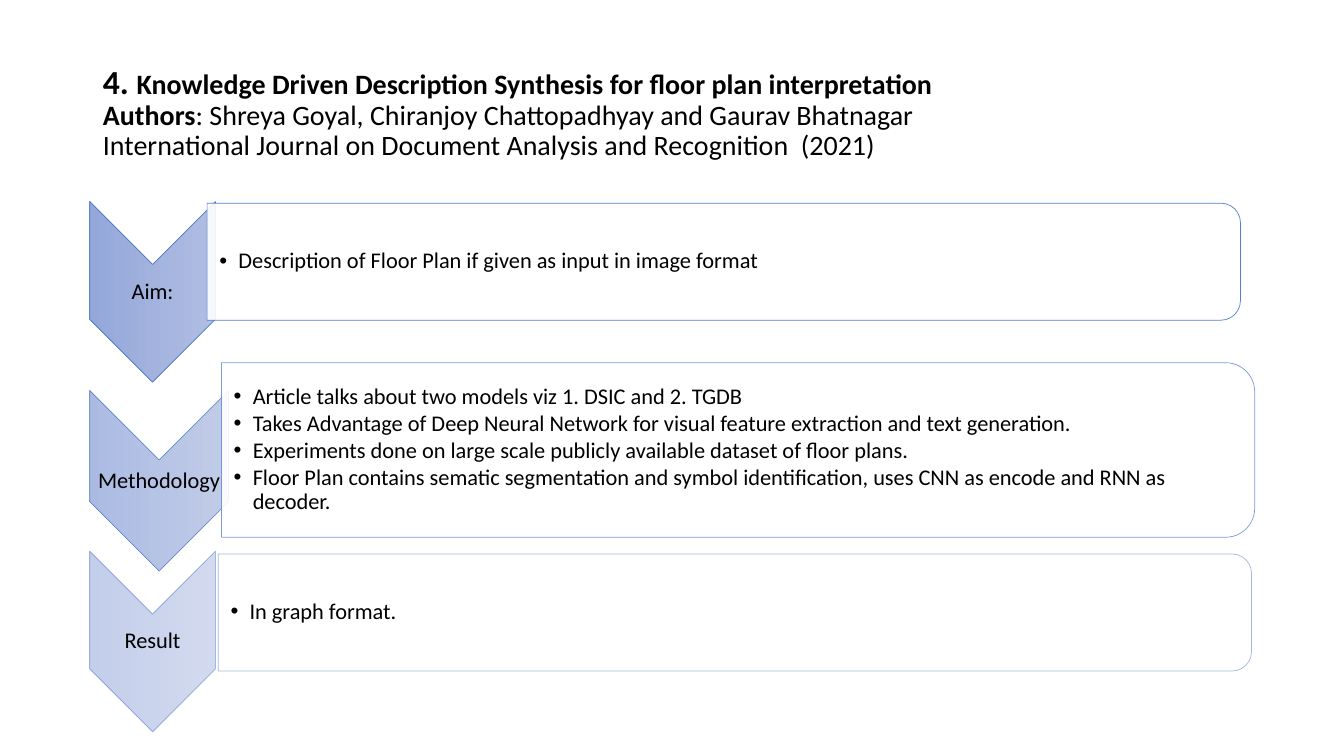
from lxml import etree
from pptx import Presentation
from pptx import util as u
from pptx.dml.color import RGBColor
from pptx.enum import shapes, text
from pptx.oxml import ns

BLACK = RGBColor(0x00, 0x00, 0x00)
WHITE = RGBColor(0xFF, 0xFF, 0xFF)
BLUE = RGBColor(0x44, 0x72, 0xC4)
GRADIENT = (RGBColor(0xA8, 0xB7, 0xDF), RGBColor(0x88, 0x9E, 0xD7))

CHEVRON_LEFT, CHEVRON_H, BOX_W = 2.26, 4.55, 26.04

TITLE = [
    ("4. ", 24, True),
    ("Knowledge Driven Description Synthesis for floor plan interpretation\vAuthors", 20, True),
    (": Shreya Goyal, Chiranjoy Chattopadhyay and Gaurav Bhatnagar\v"
     "International Journal on Document Analysis and Recognition  (2021)", 20, False),
]

ROWS = [
    dict(label="Aim:", alpha=90, chevron=(5.08, 3.17), box=(5.22, 5.12, 2.95), items=[
        "Description of Floor Plan if given as input in image format"]),
    dict(label="Methodology", alpha=70, chevron=(9.84, 3.5), box=(5.58, 9.14, 4.4), items=[
        "Article talks about two models viz 1. DSIC and 2. TGDB",
        "Takes Advantage of Deep Neural Network for visual feature extraction and text generation.",
        "Experiments done on large scale publicly available dataset of floor plans.",
        "Floor Plan contains sematic segmentation and symbol identification, "
        "uses CNN as encode and RNN as decoder."]),
    dict(label="Result", alpha=50, chevron=(13.89, 3.17), box=(5.5, 13.96, 2.95), items=[
        "In graph format."]),
]


def apply(obj, fmt):
    for name, value in fmt.items():
        setattr(obj, name, value)


def set_alpha(parent, percent):
    for clr in parent.iter(ns.qn("a:srgbClr")):
        etree.SubElement(clr, ns.qn("a:alpha"), val=str(percent * 1000))


class Deck:
    font = dict(name="Calibri", size=u.Pt(16), bold=False)
    para = dict(line_spacing=0.9, space_before=u.Pt(0), space_after=u.Pt(0))
    frame = dict(word_wrap=True, auto_size=text.MSO_AUTO_SIZE.NONE,
                 vertical_anchor=text.MSO_ANCHOR.MIDDLE)
    tight = dict.fromkeys(
        ("margin_left", "margin_right", "margin_top", "margin_bottom"), u.Cm(0.03))

    def __init__(self):
        self.prs = Presentation()
        apply(self.prs, dict(slide_width=u.Cm(33.87), slide_height=u.Cm(19.05)))
        self.s = self.prs.slides.add_slide(self.prs.slide_layouts[4])

    def place(self, sp, x, y, w, h):
        apply(sp, dict(left=u.Cm(x), top=u.Cm(y), width=u.Cm(w), height=u.Cm(h)))

    def fill_paragraph(self, p, runs, align, **para):
        apply(p, {**self.para, "alignment": align, **para})
        for words, size, bold in runs:
            for i, line in enumerate(words.split("\v")):
                if i:
                    p.add_line_break()
                r = p.add_run()
                r.text = line
                apply(r.font, {**self.font, "size": u.Pt(size), "bold": bold})
                r.font.color.rgb = BLACK

    def title(self, runs, *area):
        sp = self.s.shapes.title
        self.place(sp, *area)
        apply(sp.text_frame, self.frame)
        self.fill_paragraph(sp.text_frame.paragraphs[0], runs, text.PP_ALIGN.LEFT)

    def turned(self, kind, x, y, w, h, alpha):
        sp = self.s.shapes.add_shape(
            kind, u.Cm(x + (w - h) / 2), u.Cm(y + (h - w) / 2), u.Cm(h), u.Cm(w))
        sp.rotation = 90
        sp.shadow.inherit = False
        sp.line.width = u.Pt(0.5)
        sp.line.color.rgb = BLUE
        set_alpha(sp.line._ln, alpha)
        return sp

    def chevron(self, label, x, y, w, h, alpha):
        sp = self.turned(shapes.MSO_SHAPE.CHEVRON, x, y, w, h, alpha)
        sp.fill.gradient()
        sp.fill.gradient_angle = 270
        for stop, color in zip(sp.fill.gradient_stops, GRADIENT):
            stop.color.rgb = color
        set_alpha(sp._element.spPr.find(ns.qn("a:gradFill")), alpha)
        tb = self.s.shapes.add_textbox(u.Cm(x), u.Cm(y + w / 2), u.Cm(w), u.Cm(h - w))
        apply(tb.text_frame, {**self.frame, **self.tight})
        self.fill_paragraph(
            tb.text_frame.paragraphs[0], [(label, 16, False)], text.PP_ALIGN.CENTER)

    def box(self, x, y, w, h, alpha):
        sp = self.turned(shapes.MSO_SHAPE.ROUND_2_SAME_RECTANGLE, x, y, w, h, alpha)
        sp.fill.solid()
        sp.fill.fore_color.rgb = WHITE
        set_alpha(sp._element.spPr.find(ns.qn("a:solidFill")), 90)

    def bullets(self, idx, items, x, y, w, h):
        sp = self.s.placeholders[idx]
        self.s.shapes._spTree.append(sp._element)
        inset = 0.05 * h
        self.place(sp, x, y + inset, w - inset, h - 2 * inset)
        tf = sp.text_frame
        apply(tf, {**self.frame, **self.tight, "margin_left": u.Cm(0.31)})
        for i, item in enumerate(items):
            p = tf.add_paragraph() if i else tf.paragraphs[0]
            self.fill_paragraph(
                p, [(item, 16, False)], text.PP_ALIGN.LEFT, space_after=u.Pt(2))
            pPr = p._p.get_or_add_pPr()
            pPr.set("marL", str(u.Cm(0.48)))
            pPr.set("indent", str(-u.Cm(0.48)))
            etree.SubElement(pPr, ns.qn("a:buFont"), typeface="Arial")
            etree.SubElement(pPr, ns.qn("a:buChar"), char="\u2022")

    def finish(self):
        for sp in list(self.s.placeholders):
            if not sp.text_frame.text:
                sp._element.getparent().remove(sp._element)


deck = Deck()
deck.title(TITLE, 2.34, 1.02, 29.21, 3.68)
for idx, row in enumerate(ROWS, 1):
    top, width = row["chevron"]
    x, y, h = row["box"]
    deck.chevron(row["label"], CHEVRON_LEFT, top, width, CHEVRON_H, row["alpha"])
    deck.box(x, y, BOX_W, h, row["alpha"])
    deck.bullets(idx, row["items"], x, y, BOX_W, h)
deck.finish()
deck.prs.save("out.pptx")
